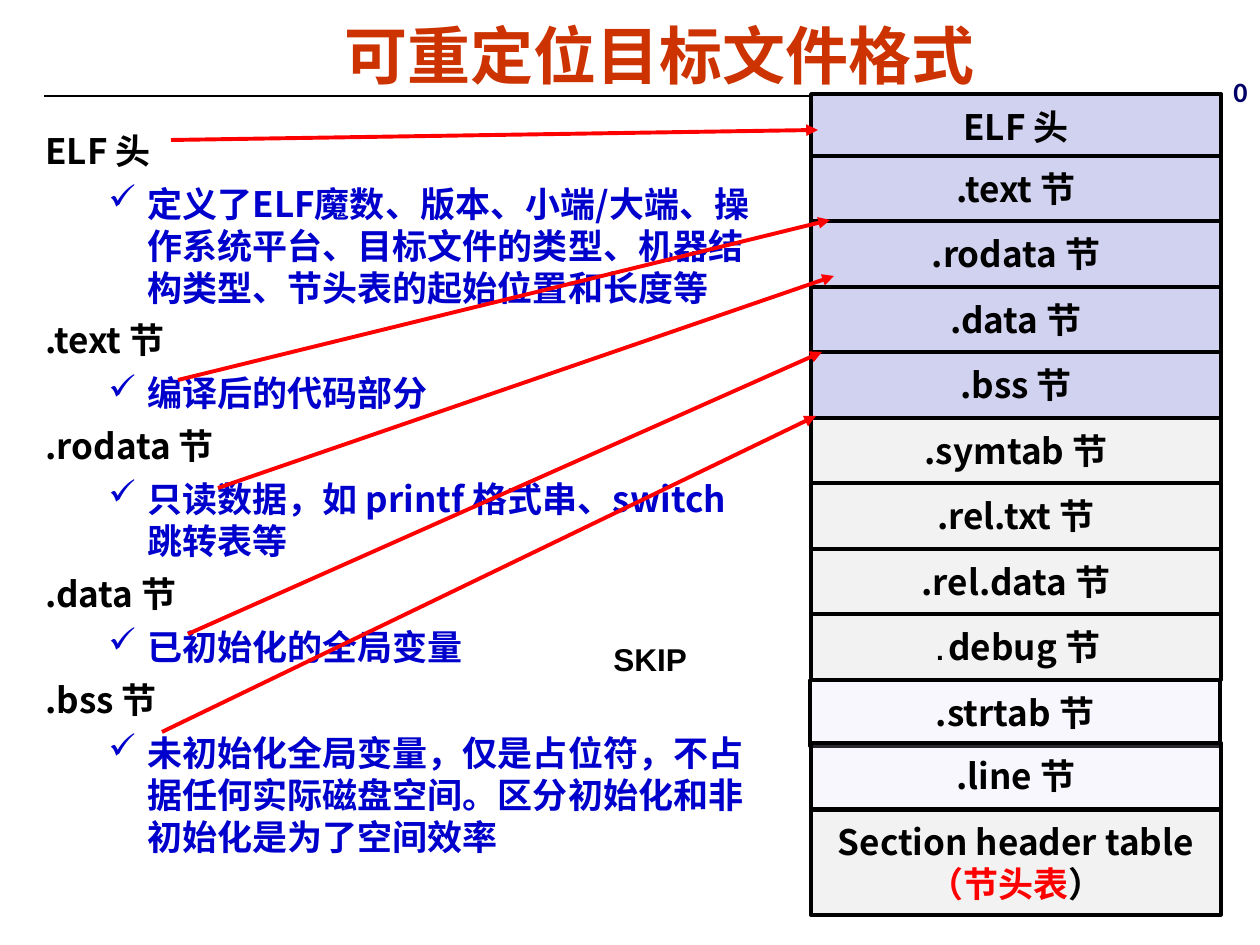
from pptx import Presentation
from pptx.dml.color import RGBColor
from pptx.enum.shapes import MSO_CONNECTOR, MSO_SHAPE
from pptx.enum.text import MSO_ANCHOR, MSO_AUTO_SIZE, PP_ALIGN
from pptx.oxml.ns import qn
from pptx.util import Pt
from lxml import etree

PX = 914400 // 126  # EMU in one px
RECTANGLE = MSO_SHAPE.RECTANGLE
STRAIGHT = MSO_CONNECTOR.STRAIGHT
CENTER, LEFT = PP_ALIGN.CENTER, PP_ALIGN.LEFT
MIDDLE, TOP = MSO_ANCHOR.MIDDLE, MSO_ANCHOR.TOP
NO_AUTOFIT = MSO_AUTO_SIZE.NONE

BLACK = RGBColor(0x00, 0x00, 0x00)
RED = RGBColor(0xFF, 0x00, 0x00)
BLUE = RGBColor(0x00, 0x00, 0xCC)
NAVY = RGBColor(0x00, 0x00, 0x66)
ORANGE = RGBColor(0xCC, 0x33, 0x00)
LILAC = RGBColor(0xD1, 0xD1, 0xF0)
PALE_LILAC = RGBColor(0xD6, 0xD6, 0xF5)
GRAY = RGBColor(0xF2, 0xF2, 0xF2)
SANS = "Noto Sans CJK SC"

# Section name and its description
DESCRIPTIONS = [
    ("ELF 头", "定义了ELF魔数、版本、小端/大端、操作系统平台、目标文件的类型、"
               "机器结构类型、节头表的起始位置和长度等"),
    (".text 节", "编译后的代码部分"),
    (".rodata 节", "只读数据，如 printf 格式串、switch 跳转表等"),
    (".data 节", "已初始化的全局变量"),
    (".bss 节", "未初始化全局变量，仅是占位符，不占据任何实际磁盘空间。"
                "区分初始化和非初始化是为了空间效率"),
]

# File layout column
COLUMN_LEFT, COLUMN_WIDTH, ROW_HEIGHT = 811, 410, 66
LOADED_SECTIONS = [".text 节", ".rodata 节", ".data 节", ".bss 节"]
OTHER_SECTIONS = [".symtab 节", ".rel.txt 节", ".rel.data 节"]

# Arrows from a description to its section: x1, y1, x2, y2
ARROWS = [
    (171, 140, 818, 130),
    (178, 380, 830, 220),
    (218, 488, 834, 276),
    (188, 634, 822, 352),
    (162, 732, 816, 416),
]


def add_span(para, text, size=20, font=SANS, color=BLACK):
    span = para.add_run()
    span.text = text
    span.font.size = Pt(size)
    span.font.name = font
    span.font.bold = True
    span.font.color.rgb = color
    east_asian = etree.SubElement(span.font._element, qn("a:ea"))
    east_asian.set("typeface", font)


def set_indent(para, margin, hanging, bullet=None, color=BLACK):
    props = para._p.get_or_add_pPr()
    props.set("marL", str(margin * PX))
    props.set("indent", str(-hanging * PX))
    if bullet:
        bullet_color = etree.SubElement(props, qn("a:buClr"))
        etree.SubElement(bullet_color, qn("a:srgbClr")).set("val", str(color))
        etree.SubElement(props, qn("a:buChar")).set("char", bullet)


def add_text(page, text, x, y, width, height, wrap=True, **style):
    box = page.shapes.add_textbox(x * PX, y * PX, width * PX, height * PX)
    box.text_frame.word_wrap = wrap
    add_span(box.text_frame.paragraphs[0], text, **style)


def add_section(page, lines, y, fill, height=ROW_HEIGHT, x=COLUMN_LEFT, alpha=None):
    """Each line is a list of (text, style) spans."""
    box = page.shapes.add_shape(RECTANGLE, x * PX, y * PX, COLUMN_WIDTH * PX, height * PX)
    box.shadow.inherit = False
    box.fill.solid()
    box.fill.fore_color.rgb = fill
    if alpha:
        color = box._element.spPr.find(qn("a:solidFill"))[0]
        etree.SubElement(color, qn("a:alpha")).set("val", str(alpha * 1000))
    box.line.color.rgb = BLACK
    box.line.width = Pt(2)
    frame = box.text_frame
    frame.word_wrap = False
    frame.vertical_anchor = MIDDLE
    for index, spans in enumerate(lines):
        para = frame.add_paragraph() if index else frame.paragraphs[0]
        para.alignment = CENTER
        para.line_spacing = Pt(24)
        for text, style in spans:
            add_span(para, text, **style)


def add_line(page, x1, y1, x2, y2, color, width, arrow=False):
    line = page.shapes.add_connector(STRAIGHT, x1 * PX, y1 * PX, x2 * PX, y2 * PX)
    line.line.color.rgb = color
    line.line.width = Pt(width)
    if arrow:
        etree.SubElement(line.line._get_or_add_ln(), qn("a:tailEnd")).set("type", "triangle")
    etree.SubElement(line._element.spPr, qn("a:effectLst"))


def set_title(page, text):
    title = page.shapes.title
    title.left, title.top, title.width, title.height = 59 * PX, 0, 1201 * PX, 108 * PX
    frame = title.text_frame
    frame.auto_size = NO_AUTOFIT
    frame.vertical_anchor = MIDDLE
    para = frame.paragraphs[0]
    para.alignment = CENTER
    set_indent(para, 16, 16)
    add_span(para, text, size=36, font="Arial", color=ORANGE)


def add_descriptions(page):
    box = page.shapes.add_textbox(33 * PX, 123 * PX, 737 * PX, 791 * PX)
    frame = box.text_frame
    frame.word_wrap = True
    frame.vertical_anchor = TOP
    for index, (name, description) in enumerate(DESCRIPTIONS):
        heading = frame.add_paragraph() if index else frame.paragraphs[0]
        set_indent(heading, 48, 48)
        add_span(heading, name)
        detail = frame.add_paragraph()
        set_indent(detail, 102, 39, bullet="✓", color=BLUE)
        add_span(detail, description, color=BLUE)
    for index, para in enumerate(frame.paragraphs):
        para.alignment = LEFT
        para.line_spacing = Pt(24)
        if index:
            para.space_before = Pt(6.2)


def add_file_layout(page):
    add_section(page, [[("ELF 头", {})]], 94, LILAC)
    rows = [([(name, {})], LILAC) for name in LOADED_SECTIONS]
    rows += [([(name, {})], GRAY) for name in OTHER_SECTIONS]
    rows.append(([(".", {"size": 16, "font": "Courier New"}), ("debug 节", {})], GRAY))
    for index, (spans, fill) in enumerate(rows):
        add_section(page, [spans], 156 + index * 131 // 2, fill)
    table_lines = [
        [("Section header table", {})],
        [("（节头表", {"color": RED}), ("）", {})],
    ]
    add_section(page, table_lines, 810, GRAY, height=105)
    add_section(page, [[(".strtab 节", {})]], 680, PALE_LILAC, x=810, alpha=19)
    add_section(page, [[(".line 节", {})]], 743, PALE_LILAC, alpha=19)


def main():
    deck = Presentation()
    deck.slide_width, deck.slide_height = 1260 * PX, 945 * PX
    page = deck.slides.add_slide(deck.slide_layouts[5])

    # Title and rule
    add_line(page, 44, 96, 1216, 96, BLACK, 0.75)
    set_title(page, "可重定位目标文件格式")

    # Descriptions on the left, file layout on the right
    add_descriptions(page)
    add_file_layout(page)
    add_text(page, "0", 1221, 68, 39, 45, wrap=False, size=16, font="Calibri", color=NAVY)

    # Links between them
    for ends in ARROWS:
        add_line(page, *ends, RED, 2.25, arrow=True)
    add_text(page, "SKIP", 601, 634, 117, 50, size=18, font="Arial")

    deck.save("out.pptx")


if __name__ == "__main__":
    main()
